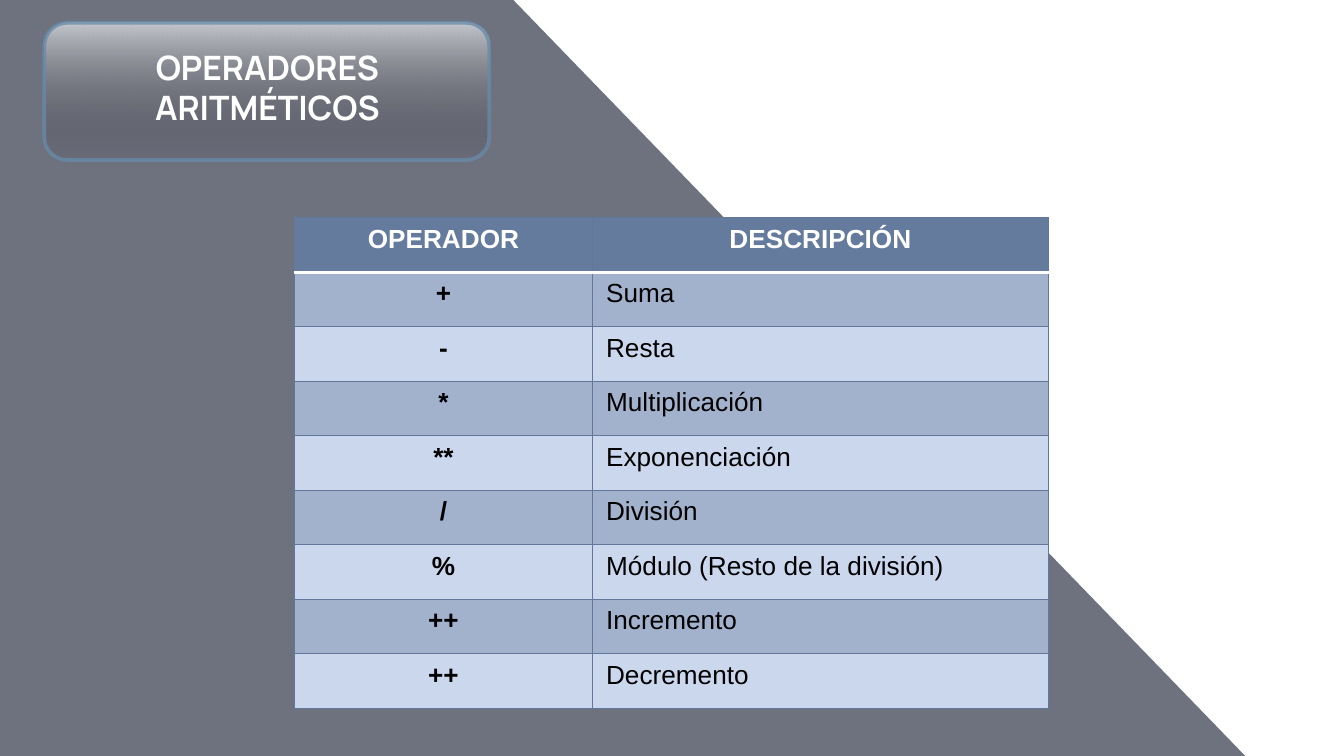
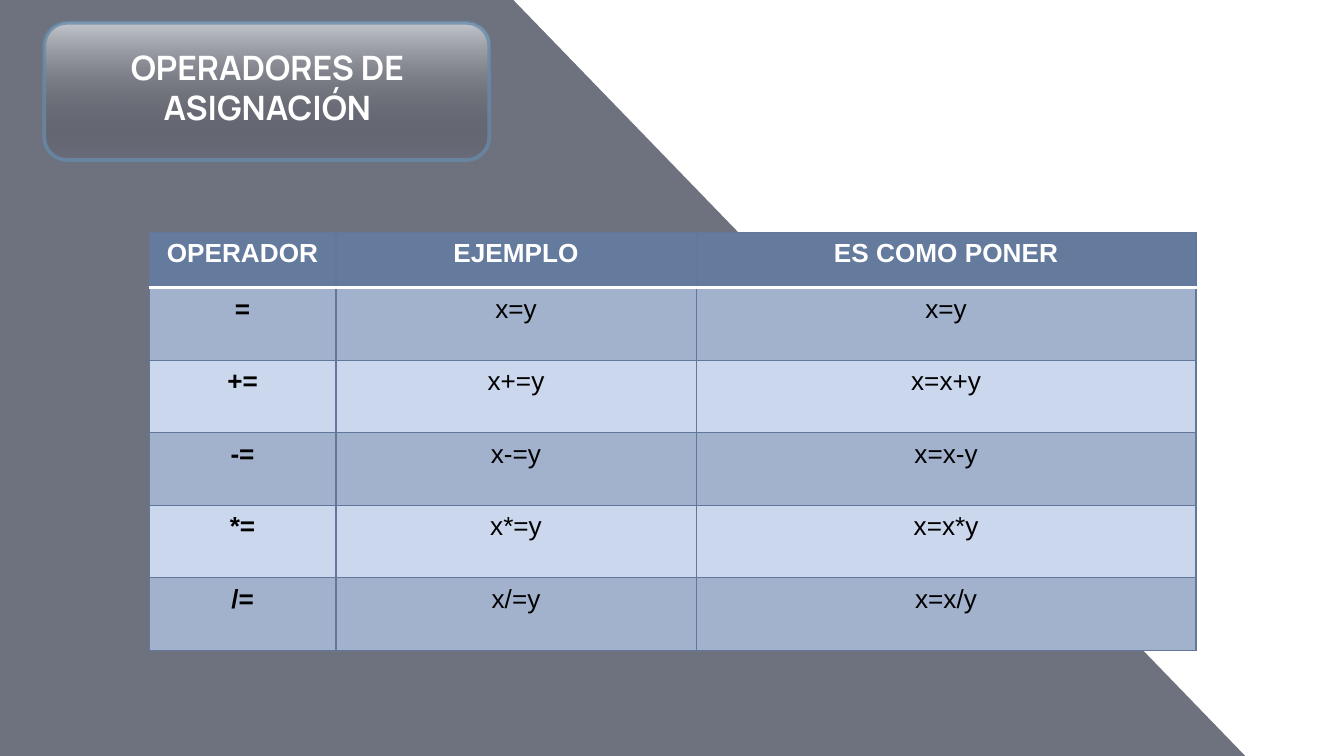
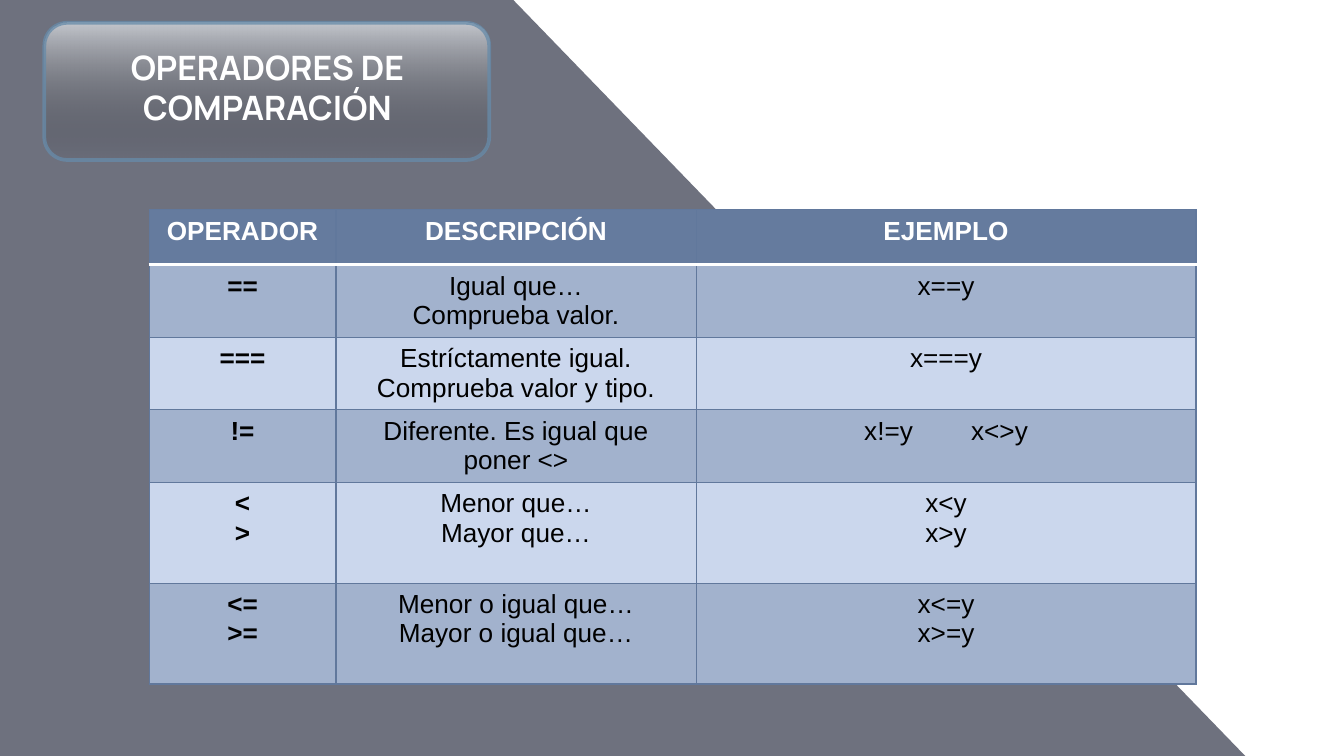
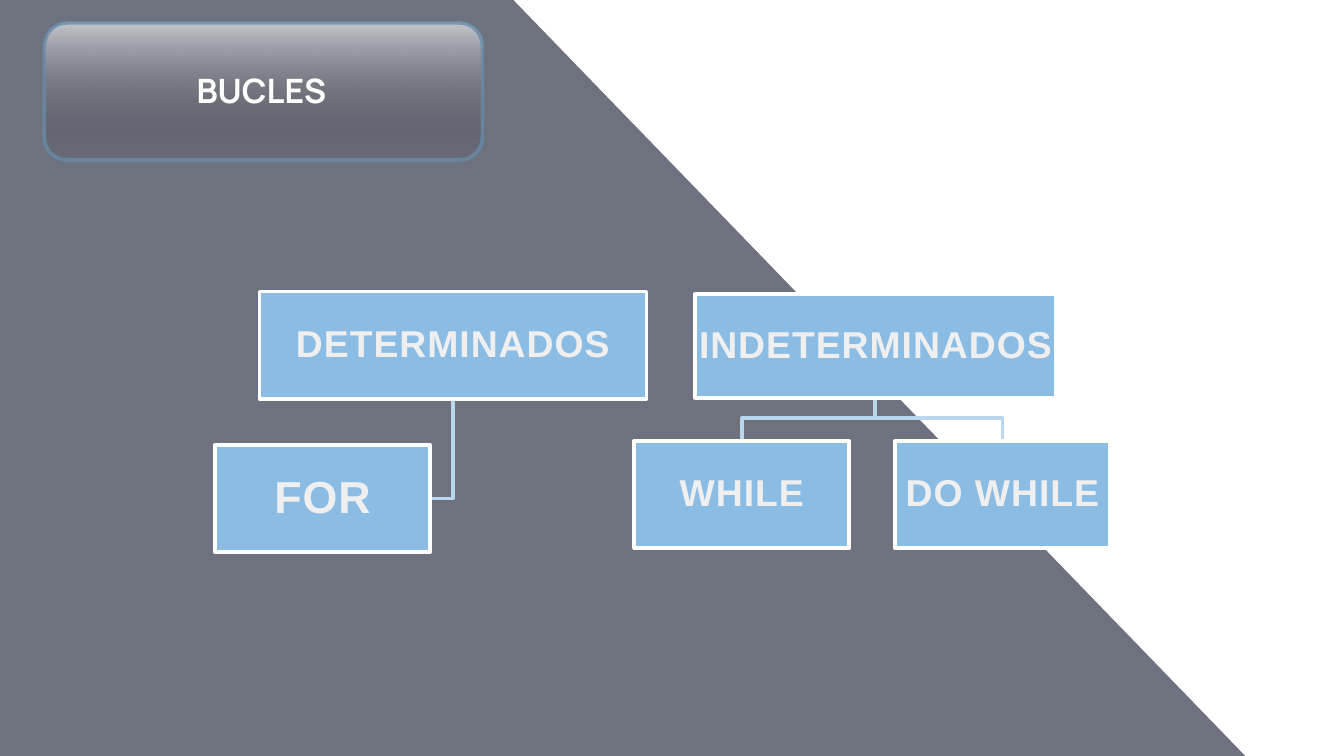
"""Build four slides on operators and loops, with a diagonal band and glossy title plates."""
import pptx
import pptx.util
import pptx.dml.color
import pptx.enum.shapes
import pptx.enum.text
import pptx.oxml
import pptx.oxml.ns
from lxml import etree

Inches, Pt = pptx.util.Inches, pptx.util.Pt
RGBColor = pptx.dml.color.RGBColor
SHAPE = pptx.enum.shapes.MSO_SHAPE
ALIGN = pptx.enum.text.PP_ALIGN
ANCHOR = pptx.enum.text.MSO_ANCHOR
qn = pptx.oxml.ns.qn

WHITE = RGBColor(0xFF, 0xFF, 0xFF)
BLACK = RGBColor(0x00, 0x00, 0x00)
BAND = RGBColor(0x21, 0x25, 0x39)
PLATE_TOP = RGBColor(0xF9, 0xFC, 0xFE)
PLATE_LINE = RGBColor(0x67, 0x8B, 0xA9)
HEADER_FILL = RGBColor(0x65, 0x7B, 0x9E)
ROW_FILLS = (RGBColor(0xA2, 0xB2, 0xCD), RGBColor(0xCB, 0xD7, 0xED))
GRID = RGBColor(0x61, 0x78, 0x9C)
BOX_FILL = RGBColor(0x8B, 0xBC, 0xE4)
BOX_TEXT = RGBColor(0xEF, 0xEF, 0xEF)
BRANCH = RGBColor(0xB9, 0xD7, 0xEF)

SLIDE_SIZE = (10, 10 * 9 / 16)
BAND_POINTS = [(3.81, -0.01), (0, 0), (0, 5.63), (9.27, 5.63)]
TITLE_FONT = {"name": "Manrope", "size": Pt(18), "bold": True}
CELL_FONT = {"name": "Arial", "size": Pt(14)}
BOX_FONT = {"name": "Arial", "bold": True}
WIDE_GAP = 27.2

TABLE_SLIDES = [
    {
        "title": "OPERADORES ARITMÉTICOS",
        "origin": (2.19, 1.62),
        "columns": (2.22, 3.39),
        "heights": [3.65 / 9] * 9,
        "aligns": (ALIGN.CENTER, ALIGN.LEFT),
        "rows": [
            ("OPERADOR", "DESCRIPCIÓN"),
            ("+", "Suma"),
            ("-", "Resta"),
            ("*", "Multiplicación"),
            ("**", "Exponenciación"),
            ("/", "División"),
            ("%", "Módulo (Resto de la división)"),
            ("++", "Incremento"),
            ("++", "Decremento"),
        ],
    },
    {
        "title": "OPERADORES DE ASIGNACIÓN",
        "origin": (1.11, 1.73),
        "columns": (1.39, 2.68, 3.72),
        "heights": [0.41] + [0.54] * 5,
        "aligns": (ALIGN.CENTER,) * 3,
        "rows": [
            ("OPERADOR", "EJEMPLO", "ES COMO PONER"),
            ("=", "x=y", "x=y"),
            ("+=", "x+=y", "x=x+y"),
            ("-=", "x-=y", "x=x-y"),
            ("*=", "x*=y", "x=x*y"),
            ("/=", "x/=y", "x=x/y"),
        ],
    },
    {
        "title": "OPERADORES DE COMPARACIÓN",
        "origin": (1.11, 1.56),
        "columns": (1.39, 2.68, 3.72),
        "heights": [0.41] + [0.54] * 3 + [0.75] * 2,
        "aligns": (ALIGN.CENTER,) * 3,
        "rows": [
            ("OPERADOR", "DESCRIPCIÓN", "EJEMPLO"),
            ("==", "Igual que…\nComprueba valor.", "x==y"),
            ("===", "Estríctamente igual.\nComprueba valor y tipo.", "x===y"),
            ("!=", "Diferente. Es igual que poner <>", "x!=y\tx<>y"),
            ("<\n>", "Menor que…\nMayor que…", "x<y\nx>y"),
            ("<=\n>=", "Menor o igual que…\nMayor o igual que…", "x<=y\nx>=y"),
        ],
    },
]

LOOP_BOXES = [
    ("DETERMINADOS", (1.93, 2.17, 2.88, 0.8), 20),
    ("FOR", (1.6, 3.31, 1.6, 0.8), 24),
    ("INDETERMINADOS", (5.17, 2.19, 2.69, 0.77), 20),
    ("WHILE", (4.72, 3.28, 1.6, 0.8), 20),
    ("DO WHILE", (6.66, 3.28, 1.6, 0.8), 20),
]
LOOP_BRANCHES = [
    [(6.51, 2.96), (6.51, 3.11), (7.46, 3.11), (7.46, 3.28)],
    [(6.51, 2.96), (6.51, 3.11), (5.52, 3.11), (5.52, 3.28)],
    [(3.37, 2.97), (3.37, 3.71), (3.2, 3.71)],
]


def inches(values):
    return [Inches(value) for value in values]


def add_span(para, text, colour, font, spacing=0):
    span = para.add_run()
    span.text = text
    for name, value in font.items():
        setattr(span.font, name, value)
    span.font.color.rgb = colour
    if spacing:
        span.font._element.set("spc", str(round(spacing * 100)))


def set_opacity(shape, *percentages):
    colours = list(shape._element.spPr.iter(qn("a:srgbClr")))
    for colour, percent in zip(colours, percentages):
        etree.SubElement(colour, qn("a:alpha"), val=str(percent * 1000))


def set_frame(frame, margin, anchor, wrap):
    settings = {"word_wrap": wrap, "vertical_anchor": anchor}
    for side in ("left", "right", "top", "bottom"):
        settings["margin_" + side] = Inches(margin)
    for name, value in settings.items():
        setattr(frame, name, value)
    para = frame.paragraphs[0]
    para.alignment = ALIGN.CENTER
    return para


def add_outline(page, points, closed):
    start, *corners = [inches(point) for point in points]
    builder = page.shapes.build_freeform(*start)
    builder.add_line_segments(corners, close=closed)
    outline = builder.convert_to_shape()
    outline.shadow.inherit = False
    return outline


def add_page(deck, title, plate_width=3.31, title_place=(0.83, 0.36, 2.32, 0.69)):
    page = deck.slides.add_slide(deck.slide_layouts[6])
    band = add_outline(page, BAND_POINTS, True)
    band.fill.solid()
    band.fill.fore_color.rgb = BAND
    band.line.fill.background()
    set_opacity(band, 65)

    plate = page.shapes.add_shape(SHAPE.ROUNDED_RECTANGLE, *inches((0.33, 0.17, plate_width, 1.02)))
    plate.shadow.inherit = False
    plate.fill.gradient()
    plate.fill.gradient_angle = 270
    for stop, colour in zip(plate.fill.gradient_stops, (PLATE_TOP, BLACK)):
        stop.color.rgb = colour
    plate.line.color.rgb = PLATE_LINE
    plate.line.width = Pt(2)
    set_opacity(plate, 62, 3, 77)

    box = page.shapes.add_textbox(*inches(title_place))
    para = set_frame(box.text_frame, 0.1, ANCHOR.BOTTOM, True)
    add_span(para, title, WHITE, TITLE_FONT)
    return page


def set_borders(cell, row):
    heavy = {0: "B", 1: "T"}.get(row)
    properties = cell._tc.get_or_add_tcPr()
    for position, side in enumerate("LRTB"):
        colour, width = (WHITE, 2) if side == heavy else (GRID, 0.75)
        border = etree.Element(qn("a:ln" + side), w=str(Pt(width)))
        fill = etree.SubElement(border, qn("a:solidFill"))
        etree.SubElement(fill, qn("a:srgbClr"), val=str(colour))
        properties.insert(position, border)


def fill_cell(cell, text, row, column, align):
    header = row == 0
    cell.margin_bottom = Inches(0.02)
    cell.fill.solid()
    cell.fill.fore_color.rgb = HEADER_FILL if header else ROW_FILLS[(row - 1) % 2]
    set_borders(cell, row)
    font = {**CELL_FONT, "bold": header or column == 0}
    colour = WHITE if header else BLACK
    frame = cell.text_frame
    for index, line in enumerate(text.split("\n")):
        para = frame.add_paragraph() if index else frame.paragraphs[0]
        para.alignment = ALIGN.CENTER if header else align
        for number, part in enumerate(line.split("\t")):
            if number:
                add_span(para, " ", colour, font, WIDE_GAP)
            add_span(para, part, colour, font)


def add_operator_table(page, content):
    columns, heights, rows = content["columns"], content["heights"], content["rows"]
    place = inches((*content["origin"], sum(columns), sum(heights)))
    table = page.shapes.add_table(len(rows), len(columns), *place).table
    for column, width in zip(table.columns, columns):
        column.width = Inches(width)
    for row, height in zip(table.rows, heights):
        row.height = Inches(height)
    for row, texts in enumerate(rows):
        for column, text in enumerate(texts):
            fill_cell(table.cell(row, column), text, row, column, content["aligns"][column])


def add_loop_tree(page):
    for points in LOOP_BRANCHES:
        branch = add_outline(page, points, False)
        branch.fill.background()
        branch.line.color.rgb = BRANCH
        branch.line.width = Pt(2)
    for text, place, size in LOOP_BOXES:
        box = page.shapes.add_shape(SHAPE.RECTANGLE, *inches(place))
        box.shadow.inherit = False
        box.fill.solid()
        box.fill.fore_color.rgb = BOX_FILL
        box.line.color.rgb = WHITE
        box.line.width = Pt(2)
        para = set_frame(box.text_frame, 0.01, ANCHOR.MIDDLE, False)
        para.line_spacing = 0.9
        add_span(para, text, BOX_TEXT, {**BOX_FONT, "size": Pt(size)}, 0.5)


def main():
    deck = pptx.Presentation()
    deck.slide_width, deck.slide_height = inches(SLIDE_SIZE)
    for content in TABLE_SLIDES:
        add_operator_table(add_page(deck, content["title"]), content)
    add_loop_tree(add_page(deck, "BUCLES", 3.26, (0.71, 0.34, 2.47, 0.58)))
    deck.save("out.pptx")


if __name__ == "__main__":
    main()
